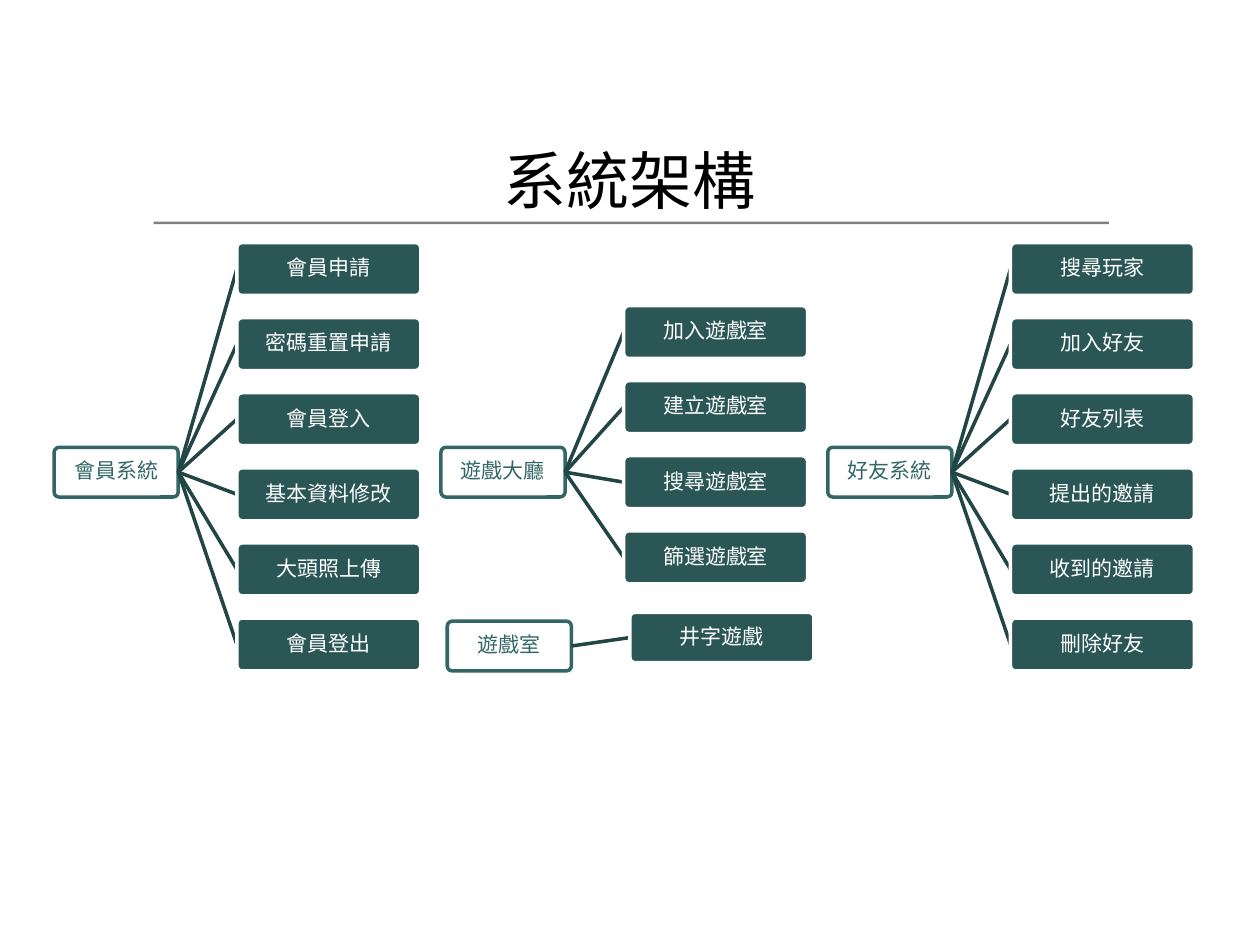
from dataclasses import dataclass

from lxml import etree
from pptx import Presentation, util as u
from pptx.dml.color import RGBColor
from pptx.enum import shapes, text
from pptx.oxml.ns import qn


@dataclass(frozen=True)
class Theme:
    font: str = "Noto Sans CJK SC"
    ink: str = "000000"
    rule: str = "808080"
    teal: str = "336666"
    deep: str = "2A5656"
    link: str = "224545"
    white: str = "FFFFFF"
    head: int = 36
    body: int = 12
    line: int = 2


class Deck:
    cols, rows = 100, 75

    def __init__(self, theme):
        self.theme = theme
        self.prs = Presentation()
        self.prs.slide_width = u.Inches(10)
        self.prs.slide_height = u.Inches(7.5)
        self.slide = self.prs.slides.add_slide(self.prs.slide_layouts[6])

    def x(self, col):
        return round(self.prs.slide_width * col / self.cols)

    def y(self, row):
        return round(self.prs.slide_height * row / self.rows)

    def place(self, col, row, wide, high):
        return self.x(col), self.y(row), self.x(wide), self.y(high)

    def label(self, shape, words, size, hue):
        frame = shape.text_frame
        frame.text = words
        frame.word_wrap = True
        frame.vertical_anchor = text.MSO_ANCHOR.MIDDLE
        para = frame.paragraphs[0]
        para.alignment = text.PP_ALIGN.CENTER
        for run in para.runs:
            run.font.size = u.Pt(size)
            run.font.name = self.theme.font
            run.font.color.rgb = RGBColor.from_string(hue)
            east = etree.SubElement(run.font._element, qn("a:ea"))
            east.set("typeface", self.theme.font)
        return frame

    def title(self, words, *area):
        box = self.slide.shapes.add_textbox(*self.place(*area))
        self.label(box, words, self.theme.head, self.theme.ink)

    def shape(self, kind, area, fill):
        item = self.slide.shapes.add_shape(kind, *self.place(*area))
        item.shadow.inherit = False
        item.fill.solid()
        item.fill.fore_color.rgb = RGBColor.from_string(fill)
        return item

    def rule(self, *area):
        bar = self.shape(shapes.MSO_SHAPE.RECTANGLE, area, self.theme.rule)
        bar.line.fill.background()

    def box(self, words, area, fill, edge, hue):
        item = self.shape(shapes.MSO_SHAPE.ROUNDED_RECTANGLE, area, fill)
        item.adjustments[0] = 0.1
        item.line.color.rgb = RGBColor.from_string(edge)
        item.line.width = u.Pt(self.theme.line)
        frame = self.label(item, words, self.theme.body, hue)
        frame.margin_left = frame.margin_right = u.Inches(0.02)
        frame.margin_top = frame.margin_bottom = u.Inches(0.02)
        frame.paragraphs[0].line_spacing = 0.9

    def link(self, start, end):
        line = self.slide.shapes.add_connector(
            shapes.MSO_CONNECTOR.STRAIGHT,
            self.x(start[0]), self.y(start[1]), self.x(end[0]), self.y(end[1]))
        line.line.color.rgb = RGBColor.from_string(self.theme.link)
        line.line.width = u.Pt(self.theme.line)
        etree.SubElement(line._element.spPr, qn("a:effectLst"))

    def tree(self, root, leaves, col, row, top, high=4.2):
        wide, tall, gap, pitch = 9.85, 3.95, 4.65, 5.96
        t = self.theme
        self.box(root, (col, row, wide, tall), t.white, t.teal, t.teal)
        left = col + wide + gap
        for i, leaf in enumerate(leaves):
            at = top + i * pitch
            self.link((col + wide, row + tall / 2), (left, at + high / 2))
            self.box(leaf, (left, at, 14.6, high), t.deep, t.white, t.white)


def main():
    deck = Deck(Theme())
    deck.rule(12.2, 17.6, 75.8, 0.2)
    deck.title("系統架構", 0, 9.2, 100, 10)
    first, pitch, row = 4.3, 30.7, 35.5
    trees = [
        ("會員系統", 19.25, ["會員申請", "密碼重置申請", "會員登入",
                         "基本資料修改", "大頭照上傳", "會員登出"]),
        ("遊戲大廳", 24.25, ["加入遊戲室", "建立遊戲室", "搜尋遊戲室", "篩選遊戲室"]),
        ("好友系統", 19.25, ["搜尋玩家", "加入好友", "好友列表",
                         "提出的邀請", "收到的邀請", "刪除好友"]),
    ]
    for i, (root, top, leaves) in enumerate(trees):
        deck.tree(root, leaves, first + i * pitch, row, top)
    deck.tree("遊戲室", ["井字遊戲"], 35.5, 49.3, 48.6, 4)
    deck.prs.save("out.pptx")


if __name__ == "__main__":
    main()
